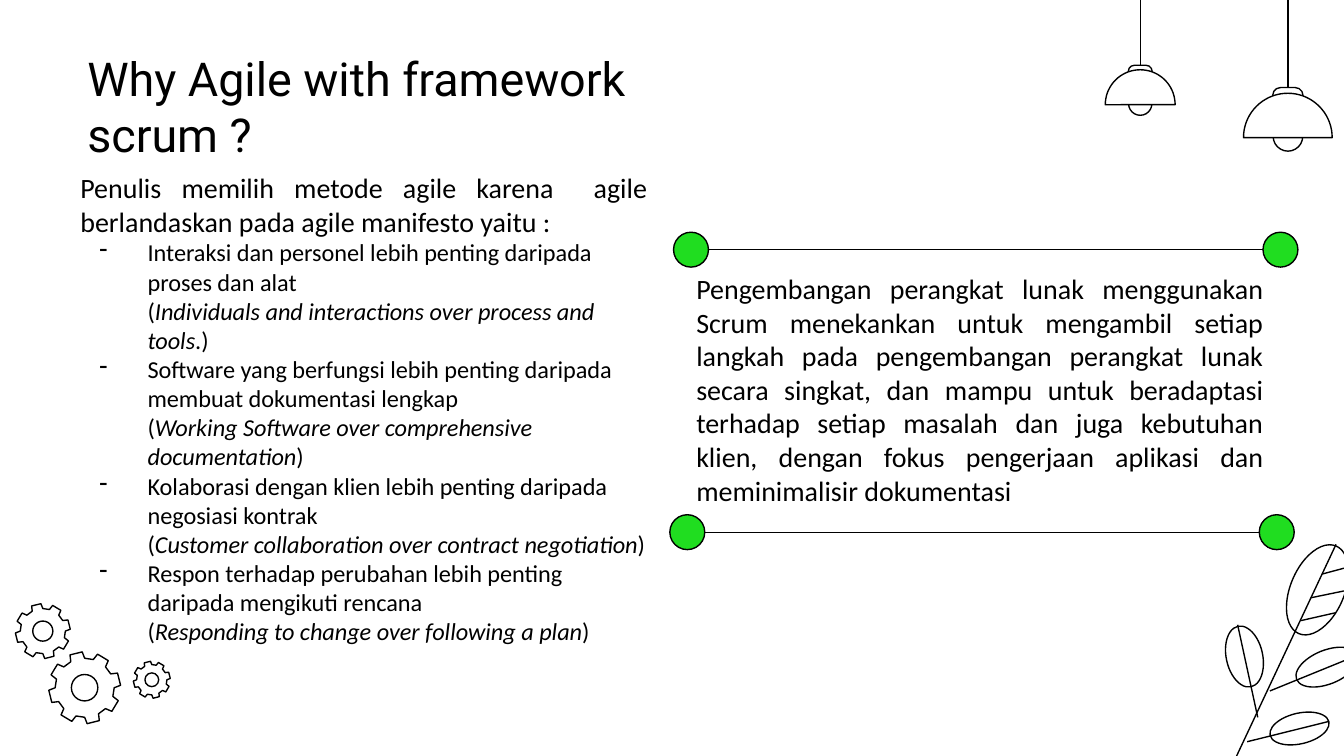
from dataclasses import dataclass
from math import cos, radians, sin

from lxml import etree
from pptx import Presentation
from pptx.dml.color import RGBColor
from pptx.enum.shapes import MSO_CONNECTOR, MSO_SHAPE
from pptx.enum.text import MSO_ANCHOR, MSO_AUTO_SIZE, PP_ALIGN
from pptx.oxml.ns import qn
from pptx.util import Cm, Pt

OVAL = MSO_SHAPE.OVAL
ROUNDED = MSO_SHAPE.ROUNDED_RECTANGLE
STRAIGHT = MSO_CONNECTOR.STRAIGHT
MIDDLE = MSO_ANCHOR.MIDDLE
NO_FIT = MSO_AUTO_SIZE.NONE
LEFT = PP_ALIGN.LEFT
JUSTIFY = PP_ALIGN.JUSTIFY
BLACK, WHITE, GREEN = "000000", "FFFFFF", "20DD20"


@dataclass
class Leaf:
    x: float
    y: float
    w: float
    h: float
    angle: float


@dataclass
class Gear:
    x: float
    y: float
    radius: float
    hole: float


@dataclass
class Lamp:
    x: float
    y: float
    scale: float


@dataclass
class Rail:
    x: float
    y: float


@dataclass
class Value:
    text: str
    english: str
    ending: str


LEAVES = [
    Leaf(23.52, 12.41, 0.69, 1.17, -12),
    Leaf(24.56, 13.77, 1.14, 0.58, -13),
    Leaf(25.08, 12.61, 1.24, 0.64, -22),
    Leaf(24.9, 11.15, 1.02, 1.8, 23),
]
STEMS = [
    (23.37, 14.29, 25.25, 10.29),
    (23.39, 11.81, 23.77, 13.56),
    (23.57, 14.02, 25.1, 13.64),
    (24, 13.06, 25.4, 12.49),
    (24.59, 11.73, 25.25, 11.58),
    (24.77, 11.3, 25.4, 11.17),
    (24.99, 10.85, 25.4, 10.74),
]
GEARS = [
    Gear(0.81, 11.93, 0.52, 0.19),
    Gear(1.6, 13, 0.68, 0.25),
    Gear(2.87, 12.85, 0.35, 0.13),
]
LAMPS = [Lamp(21.55, 1.23, 1), Lamp(24.34, 1.65, 1.27)]
RAILS = [Rail(12.66, 9.73), Rail(12.73, 4.39)]
KNOB, KNOB_STEP = 0.66, 11.14

INTRO = ("Penulis memilih metode agile karena  agile berlandaskan "
         "pada agile manifesto yaitu :")
VALUES = [
    Value("Interaksi dan personel lebih penting daripada proses dan alat ",
          "Individuals and interactions over process and tools", ".)"),
    Value("Software yang berfungsi lebih penting daripada membuat dokumentasi lengkap ",
          "Working Software over comprehensive documentation", ")"),
    Value("Kolaborasi dengan klien lebih penting daripada negosiasi kontrak ",
          "Customer collaboration over contract negotiation", ")"),
    Value("Respon terhadap perubahan lebih penting daripada mengikuti rencana ",
          "Responding to change over following a plan", ")"),
]
SCRUM = ("Pengembangan perangkat lunak menggunakan Scrum menekankan untuk mengambil "
         "setiap langkah pada pengembangan perangkat lunak secara singkat, dan mampu "
         "untuk beradaptasi terhadap setiap masalah dan juga kebutuhan klien, dengan "
         "fokus pengerjaan aplikasi dan meminimalisir dokumentasi")

prs = Presentation()
prs.slide_width, prs.slide_height = Cm(25.4), Cm(14.29)
s = prs.slides.add_slide(prs.slide_layouts[5])


def color(target, value: str) -> None:
    target.rgb = RGBColor.from_string(value)


def paint(sp, fill: str | None) -> None:
    sp.shadow.inherit = False
    if fill:
        sp.fill.solid()
        color(sp.fill.fore_color, fill)
    else:
        sp.fill.background()
    color(sp.line.color, BLACK)
    sp.line.width = Pt(0.75)


def add_centered(kind, x: float, y: float, w: float, h: float, fill: str | None):
    sp = s.shapes.add_shape(kind, Cm(x - w / 2), Cm(y - h / 2), Cm(w), Cm(h))
    paint(sp, fill)
    return sp


def add_line(x1: float, y1: float, x2: float, y2: float) -> None:
    sp = s.shapes.add_connector(STRAIGHT, Cm(x1), Cm(y1), Cm(x2), Cm(y2))
    color(sp.line.color, BLACK)
    sp.line.width = Pt(0.75)
    etree.SubElement(sp._element.spPr, qn("a:effectLst"))


def add_radial(x: float, y: float, polar: list, fill: str | None) -> None:
    points = [(Cm(x + r * cos(radians(a))), Cm(y + r * sin(radians(a))))
              for r, a in polar]
    builder = s.shapes.build_freeform(*points[0])
    builder.add_line_segments(points[1:], close=True)
    paint(builder.convert_to_shape(), fill)


def add_gear(gear: Gear) -> None:
    tooth = [(0.82, -14), (1, -10), (1, 10), (0.82, 14)]
    outline = [(gear.radius * r, 45 * i - 14 + a) for i in range(8) for r, a in tooth]
    add_radial(gear.x, gear.y, outline, None)
    add_centered(OVAL, gear.x, gear.y, 2 * gear.hole, 2 * gear.hole, None)


def add_lamp(lamp: Lamp) -> None:
    x, y, k = lamp.x, lamp.y, lamp.scale
    add_line(x, 0, x, y)
    cap = add_centered(ROUNDED, x, y + 0.12 * k, 0.45 * k, 0.23 * k, WHITE)
    cap.adjustments[0] = 0.5
    add_centered(OVAL, x, y + 0.73 * k, 0.44 * k, 0.44 * k, WHITE)
    dome = [(0.66 * k, a) for a in range(180, 361, 5)]
    add_radial(x, y + 0.75 * k, dome, WHITE)


def add_rail(rail: Rail) -> None:
    y, right = rail.y + KNOB / 2, rail.x + KNOB_STEP
    for x in (rail.x, right):
        add_centered(OVAL, x + KNOB / 2, y, KNOB, KNOB, GREEN)
    add_line(rail.x + KNOB, y, right, y)


def set_frame(sp, x: float, y: float, w: float, h: float):
    sp.left, sp.top, sp.width, sp.height = Cm(x), Cm(y), Cm(w), Cm(h)
    tf = sp.text_frame
    tf.margin_left = tf.margin_right = tf.margin_top = tf.margin_bottom = 0
    tf.word_wrap, tf.auto_size, tf.vertical_anchor = True, NO_FIT, MIDDLE
    return tf


def set_style(p, font: str, size: float, align) -> None:
    p.font.name, p.font.size, p.alignment = font, Pt(size), align
    color(p.font.color, BLACK)


def add_paragraph_box(x: float, y: float, h: float, text: str):
    tf = set_frame(s.shapes.add_textbox(0, 0, 0, 0), x, y, 10.72, h)
    tf.text = text
    set_style(tf.paragraphs[0], "Calibri", 15, JUSTIFY)
    return tf


def add_value(tf, value: Value) -> None:
    p = tf.add_paragraph()
    set_style(p, "Calibri", 13, LEFT)
    pPr = p._p.get_or_add_pPr()
    pPr.set("marL", str(Cm(1.27)))
    pPr.set("indent", str(Cm(-0.91)))
    bullet = etree.Element(qn("a:buChar"), char="-")
    pPr.insert(0, bullet)
    p.add_run().text = value.text
    p.add_line_break()
    p.add_run().text = "("
    r = p.add_run()
    r.text, r.font.italic = value.english, True
    p.add_run().text = value.ending


for leaf in LEAVES:
    add_centered(OVAL, leaf.x, leaf.y, leaf.w, leaf.h, WHITE).rotation = leaf.angle
for stem in STEMS:
    add_line(*stem)
for gear in GEARS:
    add_gear(gear)
for lamp in LAMPS:
    add_lamp(lamp)

tf = set_frame(s.shapes.title, 1.65, 0.97, 10.72, 2.06)
tf.text = "Why Agile with framework scrum ?"
set_style(tf.paragraphs[0], "Roboto", 25, LEFT)

tf = add_paragraph_box(1.52, 2.9, 9.63, INTRO)
for value in VALUES:
    add_value(tf, value)
add_paragraph_box(13.16, 3.05, 8.61, SCRUM)
for rail in RAILS:
    add_rail(rail)

prs.save("out.pptx")
